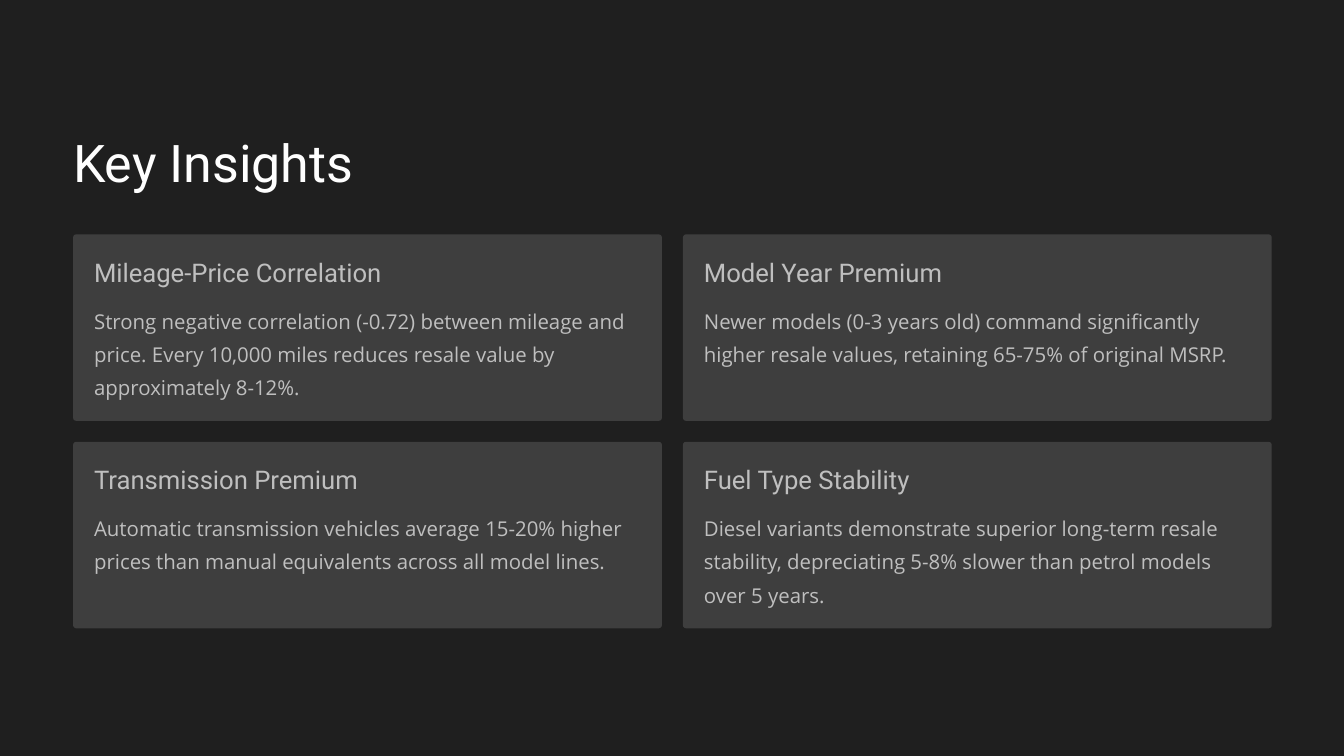
from pptx import Presentation
from pptx import util as u
from pptx.dml.color import RGBColor
from pptx.enum import shapes, text

PX = 9144  # 100 px to the inch
COLORS = {"back": "1F1F1F", "card": "3E3E3E", "title": "FEFEFE", "body": "BFBFBF"}
STYLES = {
    "title": {"font": {"name": "Roboto", "size": u.Pt(44.5)}, "lead": 55.5, "color": "title"},
    "head": {"font": {"name": "Roboto", "size": u.Pt(22)}, "lead": 27.5, "color": "body"},
    "body": {"font": {"name": "Open Sans", "size": u.Pt(17.5)}, "lead": 28.5, "color": "body"},
}
CARDS = [
    ("Mileage-Price Correlation",
     "Strong negative correlation (-0.72) between mileage and price. "
     "Every 10,000 miles reduces resale value by approximately 8-12%."),
    ("Model Year Premium",
     "Newer models (0-3 years old) command significantly higher resale values, "
     "retaining 65-75% of original MSRP."),
    ("Transmission Premium",
     "Automatic transmission vehicles average 15-20% higher prices than manual "
     "equivalents across all model lines."),
    ("Fuel Type Stability",
     "Diesel variants demonstrate superior long-term resale stability, "
     "depreciating 5-8% slower than petrol models over 5 years."),
]


def paint(fill, color):
    fill.solid()
    fill.fore_color.rgb = RGBColor.from_string(COLORS[color])


def emu(*box):
    return [n * PX for n in box]


def write(slide, box, words, kind):
    style = STYLES[kind]
    frame = slide.shapes.add_textbox(*emu(*box)).text_frame
    format = {"word_wrap": True, "vertical_anchor": text.MSO_ANCHOR.TOP,
              "margin_left": 0, "margin_top": 0, "margin_right": 0, "margin_bottom": 0}
    for key, value in format.items():
        setattr(frame, key, value)
    para = frame.paragraphs[0]
    para.line_spacing = u.Pt(style["lead"])
    run = para.add_run()
    run.text = words
    for key, value in style["font"].items():
        setattr(run.font, key, value)
    run.font.color.rgb = RGBColor.from_string(COLORS[style["color"]])


def card(slide, box, head, body):
    x, y, w, h = box
    pad = 25
    panel = slide.shapes.add_shape(shapes.MSO_SHAPE.ROUNDED_RECTANGLE, *emu(*box))
    panel.adjustments[0] = 0.017
    panel.shadow.inherit = False
    paint(panel.fill, "card")
    panel.line.fill.background()
    inner = w - 2 * pad
    write(slide, (x + pad, y + pad, inner, 39), head, "head")
    write(slide, (x + pad, y + 78, inner, h - 78 - pad), body, "body")


def grid(slide, box, cards, cols=2, gap=25):
    x, y, w, h = box
    rows = len(cards) // cols
    wide = (w - gap * (cols - 1)) // cols
    high = (h - gap * (rows - 1)) // rows
    for i, (head, body) in enumerate(cards):
        row, col = divmod(i, cols)
        place = (x + col * (wide + gap), y + row * (high + gap), wide, high)
        card(slide, place, head, body)


def main():
    deck = Presentation()
    deck.slide_width, deck.slide_height = emu(1600, 900)
    slide = deck.slides.add_slide(deck.slide_layouts[6])
    paint(slide.background.fill, "back")
    write(slide, (87, 152, 620, 78), "Key Insights", "title")
    grid(slide, (87, 279, 1427, 469), CARDS)
    deck.save("out.pptx")


if __name__ == "__main__":
    main()
